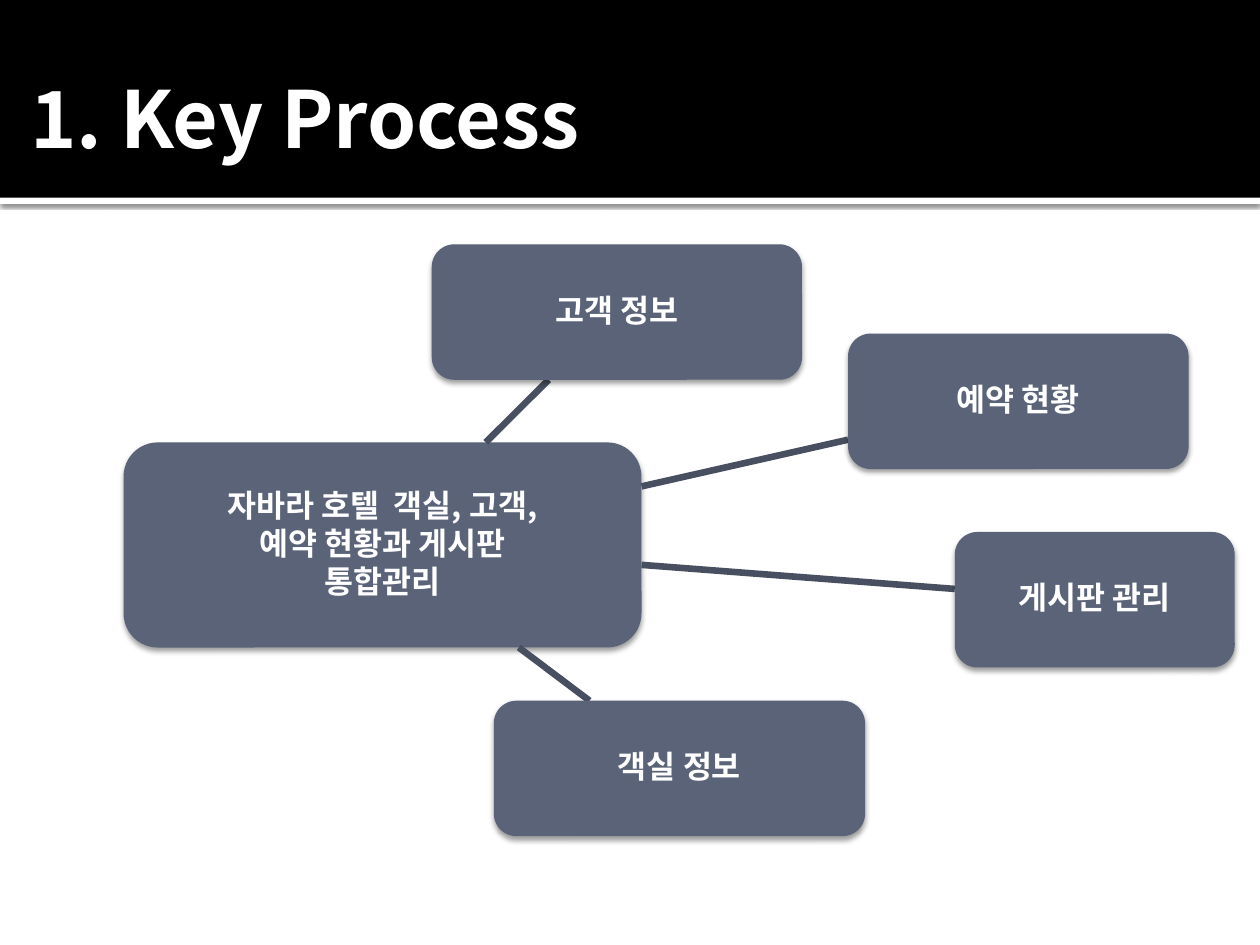
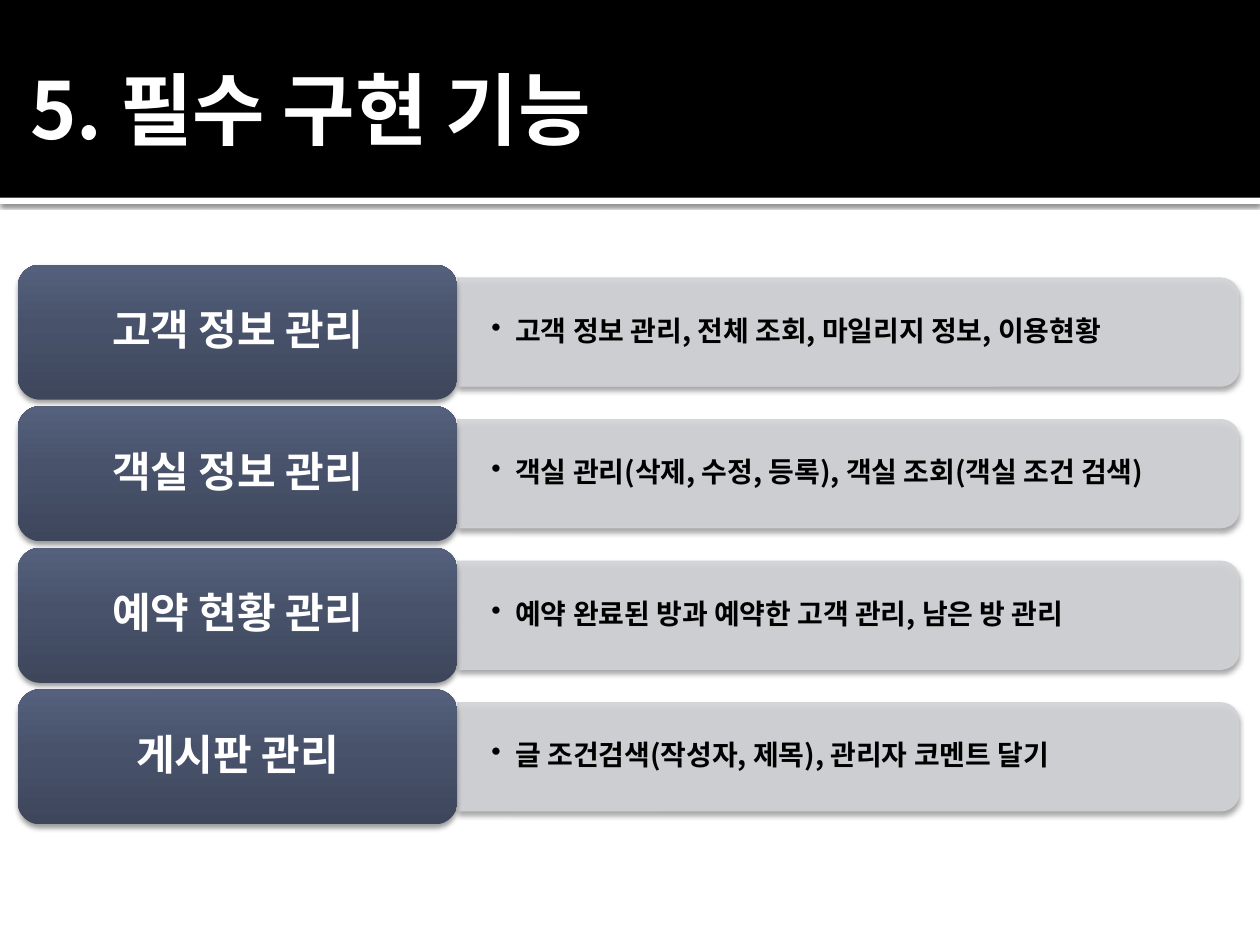
import copy
import dataclasses

import lxml.etree
import pptx
import pptx.dml.color
import pptx.enum.shapes
import pptx.enum.text
import pptx.oxml.ns
import pptx.util

Pt = pptx.util.Pt
qn = pptx.oxml.ns.qn
SHAPE = pptx.enum.shapes.MSO_SHAPE
ALIGN = pptx.enum.text.PP_ALIGN


@dataclasses.dataclass(frozen=True)
class Theme:
    font: str = "Noto Sans CJK KR"
    white: str = "FFFFFF"
    black: str = "000000"
    node: str = "5A6378"
    link: str = "484F60"
    bar: str = "D2D3D6"
    label_stops: tuple = ((0, "3D465B"), (0.55, "48526B"), (1, "54607C"))
    title_size: float = 45
    label_size: float = 24
    node_size: float = 18
    detail_size: float = 16
    # opacity in percent, blur and distance in points
    strip_shadow: tuple = (60, 2.5, 0.8)
    box_shadow: tuple = (38, 3.1, 2)


THEME = Theme()
SLIDE_W, SLIDE_H = 720, 540
HEADER_H = 113

# Slide 1: a hub and its topics, each (left, top, width, height), lines of text
HUB = ((70.6, 252.8, 296, 117.2),
       ["자바라 호텔  객실, 고객,", "예약 현황과 게시판", "통합관리"])
TOPICS = [
    ((484.6, 190.6, 194.6, 77.4), ["예약 현황"]),
    ((545.6, 304, 160, 77.4), ["게시판 관리"]),
    ((282.2, 400.4, 212.2, 77.4), ["객실 정보"]),
    ((246.7, 139.6, 211.6, 77.4), ["고객 정보"]),
]

# Slide 2: feature rows
FEATURES = [
    ("고객 정보 관리", "고객 정보 관리, 전체 조회, 마일리지 정보, 이용현황"),
    ("객실 정보 관리", "객실 관리(삭제, 수정, 등록), 객실 조회(객실 조건 검색)"),
    ("예약 현황 관리", "예약 완료된 방과 예약한 고객 관리, 남은 방 관리"),
    ("게시판 관리", "글 조건검색(작성자, 제목), 관리자 코멘트 달기"),
]
ROW_TOP, ROW_PITCH = 151.2, 80.9
LABEL_X, LABEL_W, LABEL_H = 10.1, 251.3, 77.2
BAR_X, BAR_W, BAR_H = LABEL_X + LABEL_W, 446.6, 61.9


def rgb(color):
    return pptx.dml.color.RGBColor.from_string(color)


def set_attrs(target, values):
    for name, value in values.items():
        setattr(target, name, value)


def add_xml(parent, tag, **attrs):
    values = {name: str(value) for name, value in attrs.items()}
    return lxml.etree.SubElement(parent, qn(tag), values)


# Shapes and text
def add_shadow(sp, opacity, blur, distance):
    effects = sp._element.spPr.find(qn("a:effectLst"))
    shadow = add_xml(effects, "a:outerShdw", blurRad=Pt(blur), dist=Pt(distance),
                     dir=5400000, algn="ctr", rotWithShape=0)
    color = add_xml(shadow, "a:srgbClr", val=THEME.black)
    add_xml(color, "a:alpha", val=opacity * 1000)


def add_box(s, kind, box, fill=None, shadow=None):
    sp = s.shapes.add_shape(kind, *map(Pt, box))
    sp.shadow.inherit = False
    sp.line.fill.background()
    if fill:
        sp.fill.solid()
        sp.fill.fore_color.rgb = rgb(fill)
    if shadow:
        add_shadow(sp, *shadow)
    return sp


def write(sp, lines, size, color, margins, **paragraph):
    """Fill a shape with bold lines; margins run left, top, right, bottom."""
    tf = sp.text_frame
    sides = ("margin_left", "margin_top", "margin_right", "margin_bottom")
    set_attrs(tf, dict(zip(sides, map(Pt, margins))))
    set_attrs(tf, {"word_wrap": True,
                   "vertical_anchor": pptx.enum.text.MSO_ANCHOR.MIDDLE})
    for i, line in enumerate(lines):
        p = tf.add_paragraph() if i else tf.paragraphs[0]
        set_attrs(p, paragraph)
        r = p.add_run()
        r.text = line
        set_attrs(r.font, {"name": THEME.font, "size": Pt(size), "bold": True})
        r.font.color.rgb = rgb(color)
        add_xml(r.font._element, "a:ea", typeface=THEME.font)
    return tf


def add_title_slide(prs, title, top, height):
    s = prs.slides.add_slide(prs.slide_layouts[6])
    add_box(s, SHAPE.RECTANGLE, (0, HEADER_H, SLIDE_W, 3.6),
            THEME.white, THEME.strip_shadow)
    add_box(s, SHAPE.RECTANGLE, (0, 0, SLIDE_W, HEADER_H), THEME.black)
    sp = s.shapes.add_textbox(0, Pt(top), Pt(SLIDE_W), Pt(height))
    write(sp, [title], THEME.title_size, THEME.white, (17.3, 3.6, 3.6, 3.6))
    return s


# Hub diagram
def add_node(s, box, lines):
    sp = add_box(s, SHAPE.ROUNDED_RECTANGLE, box, THEME.node, THEME.box_shadow)
    write(sp, lines, THEME.node_size, THEME.white, (3.6,) * 4,
          alignment=ALIGN.CENTER, line_spacing=0.9, space_after=Pt(2.2))


def edge_point(box, other):
    """Where the line between the two centres leaves the first box."""
    x, y, w, h = box
    cx, cy = x + w / 2, y + h / 2
    dx = other[0] + other[2] / 2 - cx
    dy = other[1] + other[3] / 2 - cy
    t = 1 / max(abs(dx) / (w / 2), abs(dy) / (h / 2))
    return Pt(cx + t * dx), Pt(cy + t * dy)


def add_link(s, start, end):
    line = s.shapes.add_connector(pptx.enum.shapes.MSO_CONNECTOR.STRAIGHT,
                                  *edge_point(start, end), *edge_point(end, start))
    line.line.width = Pt(3.78)
    line.line.color.rgb = rgb(THEME.link)
    add_xml(line._element.spPr, "a:effectLst")


# Feature rows
def add_bar(s, middle, detail):
    # The preset rounds its top corners, so a quarter turn rounds the right side
    center = BAR_X + BAR_W / 2
    sp = add_box(s, SHAPE.ROUND_2_SAME_RECTANGLE,
                 (center - BAR_H / 2, middle - BAR_W / 2, BAR_H, BAR_W), THEME.bar)
    sp.rotation = 90
    sp.line.color.rgb = rgb(THEME.bar)
    sp.line.width = Pt(0.5)
    for color in list(sp._element.spPr.iter(qn("a:srgbClr"))):
        add_xml(color, "a:alpha", val=90000)
    add_shadow(sp, *THEME.box_shadow)

    text_h = 55.4
    sp = s.shapes.add_textbox(Pt(BAR_X), Pt(middle - text_h / 2),
                              Pt(BAR_W - 3), Pt(text_h))
    tf = write(sp, [detail], THEME.detail_size, THEME.black,
               (19.4, 10, 19.4, 10), line_spacing=0.9)
    p_pr = tf.paragraphs[0]._p.get_or_add_pPr()
    p_pr.set("marL", str(Pt(13.7)))
    p_pr.set("indent", str(-Pt(13.7)))
    add_xml(p_pr, "a:buChar", char="•")


def add_label(s, top, text):
    sp = add_box(s, SHAPE.ROUNDED_RECTANGLE, (LABEL_X, top, LABEL_W, LABEL_H),
                 shadow=THEME.box_shadow)
    sp.fill.gradient()
    sp.fill.gradient_angle = 90
    first = sp._element.spPr.find(".//" + qn("a:gs"))
    first.addnext(copy.deepcopy(first))
    for stop, (position, color) in zip(sp.fill.gradient_stops, THEME.label_stops):
        stop.position = position
        stop.color.rgb = rgb(color)
    write(sp, [text], THEME.label_size, THEME.white, (7.2, 3.6, 7.2, 3.6),
          alignment=ALIGN.CENTER, line_spacing=0.9)


def main():
    prs = pptx.Presentation()
    set_attrs(prs, {"slide_width": Pt(SLIDE_W), "slide_height": Pt(SLIDE_H)})

    # Key process
    s = add_title_slide(prs, "1. Key Process", 21.6, 90)
    add_node(s, *HUB)
    for box, lines in TOPICS:
        add_link(s, HUB[0], box)
        add_node(s, box, lines)

    # Required features
    s = add_title_slide(prs, "5. 필수 구현 기능", 12.2, 98.6)
    for i, (label, detail) in enumerate(FEATURES):
        top = ROW_TOP + i * ROW_PITCH
        add_bar(s, top + LABEL_H / 2, detail)
        add_label(s, top, label)

    prs.save("out.pptx")


if __name__ == "__main__":
    main()
